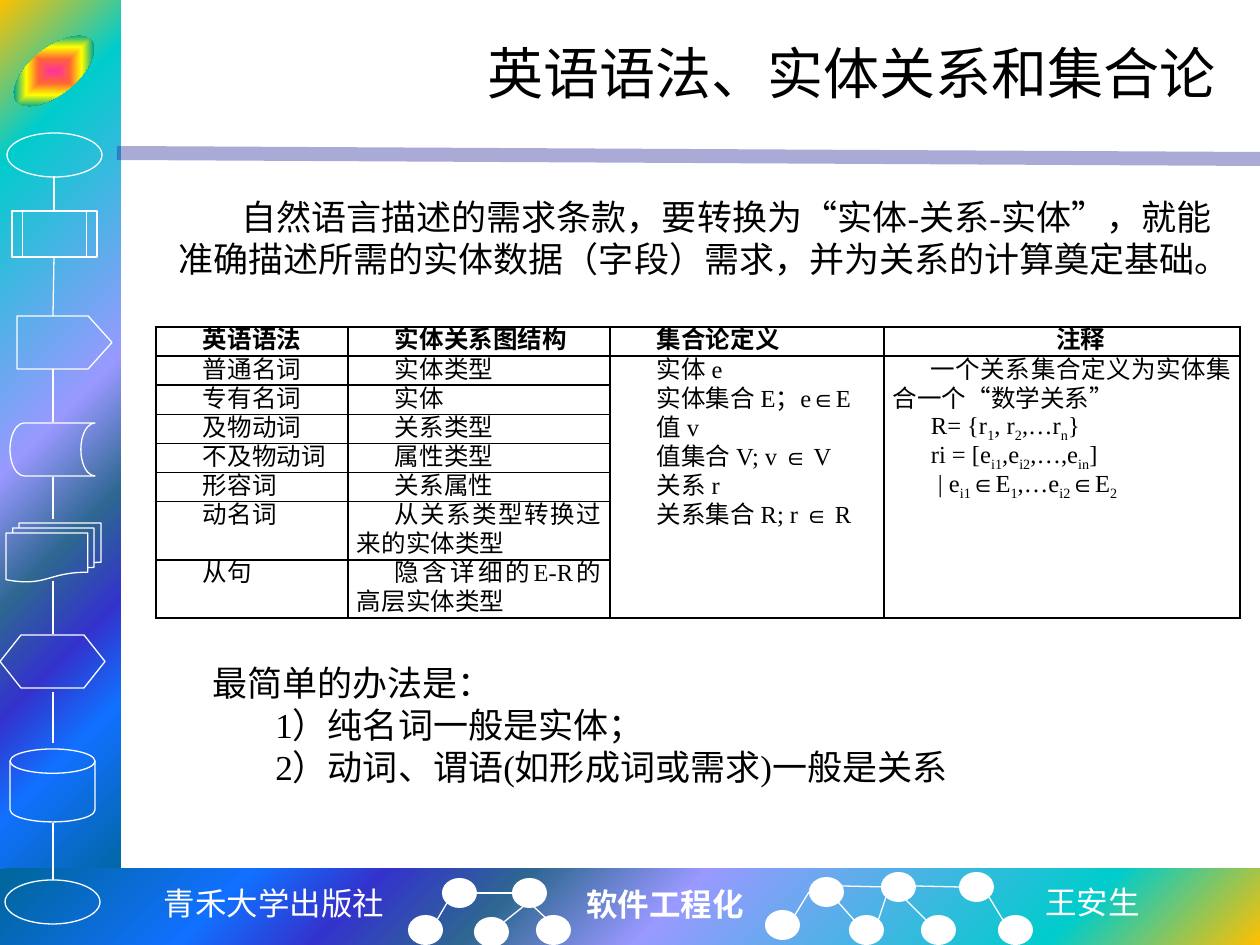
import pptx
import pptx.util
import pptx.dml.color
import pptx.enum.shapes
import pptx.enum.text
import pptx.oxml
import pptx.oxml.ns
import lxml.etree

PX = 914400 // 126
HUES = {"ink": "000000", "white": "FFFFFF", "rule": "262699"}
FONT = "Times New Roman"
BAND = [(0, "FFC000"), (16, "00CCCC"), (47, "9999FF"), (60, "2E6792"),
        (71, "3333CC"), (81, "1170FF"), (100, "006699")]
GLOW = [(0, "FF3399"), (25, "FF6633"), (50, "FFFF00"), (75, "01A78F"), (100, "3366FF")]
NS = 'xmlns:a="http://schemas.openxmlformats.org/drawingml/2006/main"'
qn = pptx.oxml.ns.qn
rgb = pptx.dml.color.RGBColor.from_string
Pt = pptx.util.Pt
KIND = pptx.enum.shapes.MSO_SHAPE
ALIGN = pptx.enum.text.PP_ALIGN
ANCHOR = pptx.enum.text.MSO_ANCHOR

deck = pptx.Presentation()
deck.slide_width, deck.slide_height = 1260 * PX, 945 * PX
slide = deck.slides.add_slide(deck.slide_layouts[6])
shapes = slide.shapes


def draw(kind, box, fill=None, line=None):
    """Add a preset shape; fill is a colour or (kind, stops, focus)."""
    shape = shapes.add_shape(kind, *[v * PX for v in box])
    shape.shadow.inherit = False
    if isinstance(fill, tuple):
        form, stops, focus = fill
        marks = "".join(f'<a:gs pos="{p * 1000}"><a:srgbClr val="{c}"/></a:gs>'
                        for p, c in stops)
        sides = " ".join(f'{s}="{v * 1000}"' for s, v in zip("ltrb", focus))
        grad = pptx.oxml.parse_xml(
            f'<a:gradFill {NS} rotWithShape="1"><a:gsLst>{marks}</a:gsLst>'
            f'<a:path path="{form}"><a:fillToRect {sides}/></a:path></a:gradFill>')
        shape._element.spPr.find(qn("a:prstGeom")).addnext(grad)
    elif fill:
        shape.fill.solid()
        shape.fill.fore_color.rgb = rgb(fill)
    else:
        shape.fill.background()
    if line:
        shape.line.color.rgb = rgb(line)
        shape.line.width = Pt(0.75)
    else:
        shape.line.fill.background()
    return shape


def write(para, text, size, hue="ink", left=0, indent=0, align=None, bold=None, font=FONT):
    """Fill a paragraph; text between underscores is lowered."""
    for i, part in enumerate(text.split("_")):
        if part:
            run = para.add_run()
            run.text = part
            if i % 2:
                run._r.get_or_add_rPr().set("baseline", "-25000")
    para.font.size, para.font.name, para.font.bold = Pt(size), font, bold
    para.font.color.rgb = rgb(HUES[hue])
    para.alignment = align
    props = para._p.get_or_add_pPr()
    props.set("marL", str(left * PX))
    props.set("indent", str(indent * PX))


# Side and bottom bands
draw(KIND.RECTANGLE, (0, 0, 121, 893), ("circle", BAND, (0, 0, 100, 100)))
draw(KIND.RECTANGLE, (0, 869, 1260, 76), ("circle", BAND, (100, 100, 0, 0)))

# Flowchart symbols
for kind, box in [
        (KIND.OVAL, (7, 133, 95, 44)),
        (KIND.FLOWCHART_PREDEFINED_PROCESS, (12, 211, 85, 46)),
        (KIND.PENTAGON, (17, 316, 95, 53)),
        (KIND.FLOWCHART_STORED_DATA, (10, 423, 85, 53)),
        (KIND.FLOWCHART_MULTIDOCUMENT, (6, 523, 95, 59)),
        (KIND.FLOWCHART_PREPARATION, (0, 635, 105, 53)),
        (KIND.FLOWCHART_MAGNETIC_DISK, (10, 749, 85, 73)),
        (KIND.OVAL, (5, 880, 95, 44))]:
    symbol = draw(kind, box, line=HUES["white"])
    if kind == KIND.PENTAGON:
        symbol.adjustments[0] = 0.45
badge = draw(KIND.OVAL, (6, 48, 96, 46), ("rect", GLOW, (50, 50, 50, 50)))
badge.rotation = -39

# Network nodes
for x, y in [(442, 878), (408, 915), (474, 917), (512, 878), (536, 915),
             (809, 877), (765, 910), (849, 915), (881, 872), (959, 872),
             (998, 915), (921, 915)]:
    draw(KIND.OVAL, (x, y, 35, 30), HUES["white"])

# Lines: flow links, network links, title rule
flow = [(54, 176, 54, 211), (54, 258, 53, 316), (53, 369, 53, 422), (53, 477, 53, 519),
        (53, 581, 53, 634), (53, 692, 53, 743), (53, 823, 53, 880)]
net = [(437, 920, 447, 903), (504, 922, 524, 906), (512, 893, 477, 893),
       (547, 919, 534, 907), (795, 915, 809, 892), (842, 886, 886, 887),
       (854, 920, 838, 902), (878, 921, 886, 897), (926, 920, 901, 895),
       (915, 886, 959, 887), (1003, 920, 989, 897)]
rule = (117, 153, 1260, 159)
for ends in flow + net + [rule]:
    link = shapes.add_connector(pptx.enum.shapes.MSO_CONNECTOR.STRAIGHT,
                                *[v * PX for v in ends])
    link.line.color.rgb = rgb(HUES["rule" if ends == rule else "white"])
    link.line.width = Pt(8 if ends == rule else 0.75)
    if ends == rule:
        hue = link._element.spPr.find(".//" + qn("a:srgbClr"))
        lxml.etree.SubElement(hue, qn("a:alpha")).set("val", "39000")
    lxml.etree.SubElement(link._element.spPr, qn("a:effectLst"))

# Title, body and footer texts
sans = "Noto Sans CJK SC"
for box, wrap, anchor, paras in [
        ((158, 21, 1071, 102), True, ANCHOR.MIDDLE,
         [("英语语法、实体关系和集合论", 32, "ink", 0, 0, ALIGN.RIGHT)]),
        ((166, 189, 1075, 139), True, ANCHOR.TOP,
         [("自然语言描述的需求条款，要转换为“实体-关系-实体”，就能准确描述所需的"
           "实体数据（字段）需求，并为关系的计算奠定基础。", 20, "ink", 0, 63)]),
        ((137, 655, 1075, 139), True, ANCHOR.TOP,
         [("最简单的办法是：", 20, "ink", 0, 63),
          ("1）纯名词一般是实体；", 20, "ink", 126),
          ("2）动词、谓语(如形成词或需求)一般是关系", 20, "ink", 126)]),
        ((150, 878, 248, 50), False, ANCHOR.TOP,
         [("青禾大学出版社", 18, "white", 0, 0, ALIGN.CENTER, None, "Courier New")]),
        ((574, 879, 184, 50), False, ANCHOR.TOP,
         [("软件工程化", 18, "white", 0, 0, None, True)]),
        ((1033, 877, 121, 50), False, ANCHOR.TOP,
         [("王安生", 18, "white", 0, 0, None, None, sans)])]:
    frame = shapes.add_textbox(*[v * PX for v in box]).text_frame
    frame.word_wrap, frame.vertical_anchor = wrap, anchor
    for i, args in enumerate(paras):
        write(frame.add_paragraph() if i else frame.paragraphs[0], *args)

# Grammar table
sets = ["实体 e", "实体集合 E；e∈E", "值 v", "值集合 V; v ∈ V", "关系 r", "关系集合 R; r ∈ R"]
notes = ["一个关系集合定义为实体集合一个“数学关系”", "R= {r_1_, r_2_,…r_n_}",
         "ri = [e_i1_,e_i2_,…,e_in_]", "| e_i1_∈E_1_,…e_i2_∈E_2_"]
rows = [[["英语语法"], ["实体关系图结构"], ["集合论定义"], ["注释"]],
        [["普通名词"], ["实体类型"], sets, notes],
        [["专有名词"], ["实体"]],
        [["及物动词"], ["关系类型"]],
        [["不及物动词"], ["属性类型"]],
        [["形容词"], ["关系属性"]],
        [["动名词"], ["从关系类型转换过来的实体类型"]],
        [["从句"], ["隐含详细的E-R的高层实体类型"]]]
table = shapes.add_table(8, 4, 156 * PX, 327 * PX, 1084 * PX, 290 * PX).table
table.first_row = table.horz_banding = False
for col, width in zip(table.columns, [192, 262, 274, 356]):
    col.width = width * PX
for r, row in enumerate(table.rows):
    row.height = (58 if r > 5 else 29) * PX
for c in (2, 3):
    table.cell(1, c).merge(table.cell(7, c))
for r in range(8):
    for c in range(4):
        cell = table.cell(r, c)
        cell.margin_left = cell.margin_right = 9 * PX
        cell.margin_top = cell.margin_bottom = 0
        for i, text in enumerate(rows[r][c] if c < len(rows[r]) else []):
            frame = cell.text_frame
            para = frame.add_paragraph() if i else frame.paragraphs[0]
            write(para, text, 14, indent=45 if text[0] == "|" else 38, bold=r == 0,
                  align=ALIGN.CENTER if text == "注释" else ALIGN.JUSTIFY)
            para.line_spacing = Pt(16.6)
        props = cell._tc.get_or_add_tcPr()
        for side in "LRTB":
            props.append(pptx.oxml.parse_xml(
                f'<a:ln{side} {NS} w="12700"><a:solidFill><a:srgbClr val="{HUES["ink"]}"/>'
                f'</a:solidFill></a:ln{side}>'))
        cell.fill.background()

deck.save("out.pptx")
